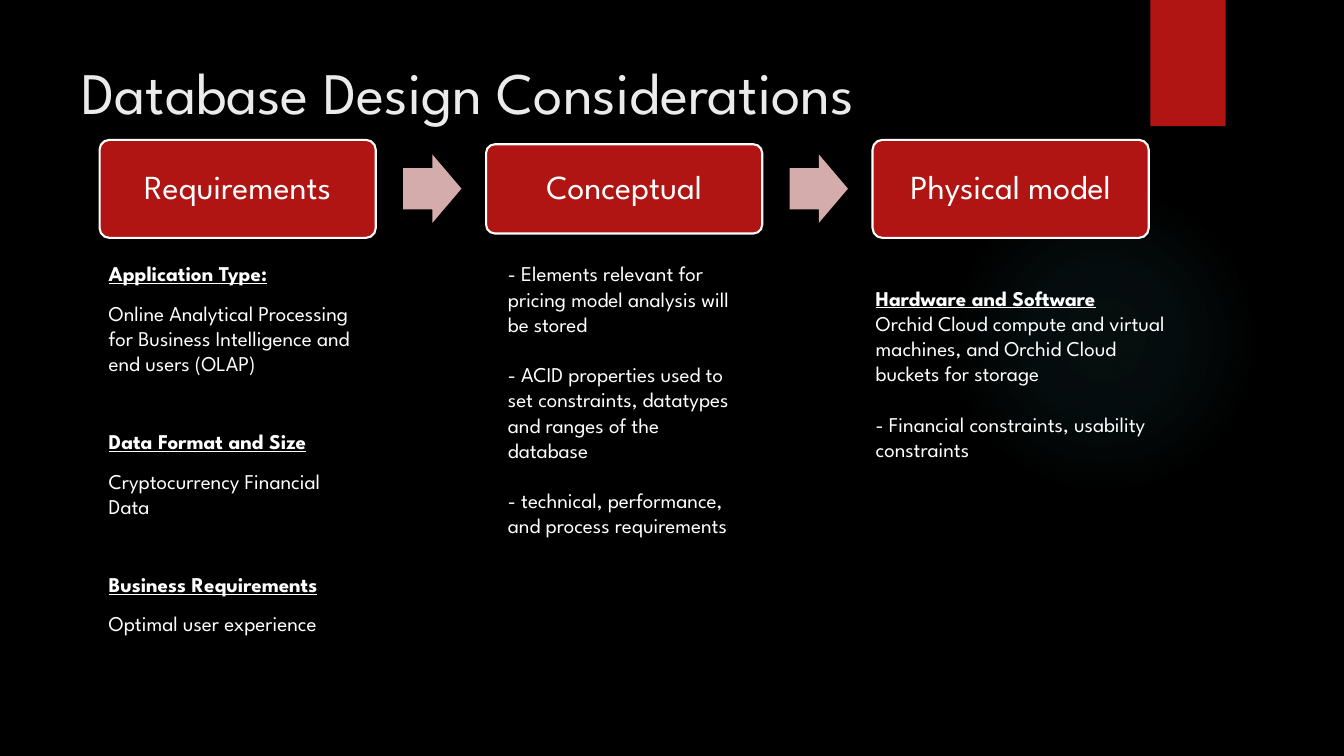
from lxml import etree
from pptx import Presentation
from pptx.dml.color import RGBColor
from pptx.enum import shapes, text
from pptx.oxml import parse_xml
from pptx.oxml.ns import nsdecls, qn
from pptx.util import Cm, Pt

BLACK = RGBColor(0x00, 0x00, 0x00)
WHITE = RGBColor(0xFF, 0xFF, 0xFF)
OFF_WHITE = RGBColor(0xEB, 0xEB, 0xEB)
RED = RGBColor(0xB0, 0x15, 0x13)
PINK = RGBColor(0xD4, 0xAC, 0xAB)
TEAL = RGBColor(0x50, 0xB9, 0xC1)
FONT = "League Spartan"

STAGES = [("Requirements", 2.47), ("Conceptual", 2.25), ("Physical model", 2.47)]
STAGE_LEFT, STAGE_STEP, STAGE_MIDDLE = 2.51, 9.74, 4.76
ARROW_LEFT = 10.16

# Each paragraph: text, is a heading, space before in points
REQUIREMENTS = [
    ("Application Type:", True, 0),
    ("Online Analytical Processing for Business Intelligence and end users (OLAP)", False, 10),
    ("Data Format and Size", True, 38),
    ("Cryptocurrency Financial Data", False, 10),
    ("Business Requirements", True, 38),
    ("Optimal user experience", False, 10),
]
CONCEPTUAL = [
    ("- Elements relevant for pricing model analysis will be stored", False, 0),
    ("- ACID properties used to set constraints, datatypes and ranges of the database", False, 18),
    ("- technical, performance, and process requirements", False, 18),
]
PHYSICAL = [
    ("Hardware and Software", True, 0),
    ("Orchid Cloud compute and virtual machines, and Orchid Cloud buckets for storage", False, 0),
    ("- Financial constraints, usability constraints", False, 18),
]


def style_font(p, size, color):
    p.font.name = FONT
    p.font.size = Pt(size)
    p.font.color.rgb = color


def add_shape(slide, kind, left, top, width, height, color):
    sp = slide.shapes.add_shape(kind, Cm(left), Cm(top), Cm(width), Cm(height))
    sp.shadow.inherit = False
    sp.fill.solid()
    sp.fill.fore_color.rgb = color
    sp.line.fill.background()
    return sp


def add_glow(slide):
    sp = add_shape(slide, shapes.MSO_SHAPE.OVAL, 23.9, 4.65, 7.82, 7.82, TEAL)
    grad = parse_xml(
        f'<a:gradFill {nsdecls("a")}><a:gsLst/><a:path path="circle">'
        '<a:fillToRect l="50000" t="50000" r="50000" b="50000"/></a:path></a:gradFill>')
    for position, opacity in ((0, 7), (36, 6), (69, 0)):
        stop = etree.SubElement(grad[0], qn("a:gs"), pos=str(position * 1000))
        color = etree.SubElement(stop, qn("a:srgbClr"), val=str(TEAL))
        etree.SubElement(color, qn("a:alpha"), val=str(opacity * 1000))
    solid = sp.element.spPr.find(qn("a:solidFill"))
    sp.element.spPr.replace(solid, grad)


def add_title(slide, words):
    sp = slide.shapes.title
    sp.left, sp.top, sp.width, sp.height = Cm(1.8), Cm(1.27), Cm(26.14), Cm(3.89)
    tf = sp.text_frame
    tf.text = words
    tf.auto_size = text.MSO_AUTO_SIZE.NONE
    tf.vertical_anchor = text.MSO_ANCHOR.TOP
    p = tf.paragraphs[0]
    p.alignment = text.PP_ALIGN.LEFT
    style_font(p, 42, OFF_WHITE)


def add_stage(slide, left, height, label):
    sp = add_shape(slide, shapes.MSO_SHAPE.ROUNDED_RECTANGLE,
                   left, STAGE_MIDDLE - height / 2, 6.96, height, RED)
    sp.adjustments[0] = 0.1
    sp.line.color.rgb = WHITE
    sp.line.width = Pt(1.5)
    tf = sp.text_frame
    tf.word_wrap = True
    tf.vertical_anchor = text.MSO_ANCHOR.MIDDLE
    p = tf.paragraphs[0]
    p.text = label
    p.alignment = text.PP_ALIGN.CENTER
    p.line_spacing = 0.9
    style_font(p, 24, WHITE)


def add_arrow(slide, left):
    sp = add_shape(slide, shapes.MSO_SHAPE.RIGHT_ARROW,
                   left, STAGE_MIDDLE - 0.87, 1.47, 1.73, PINK)
    sp.adjustments[0] = 0.6
    sp.adjustments[1] = 0.5


def add_notes_column(slide, left, top, width, height, paragraphs):
    tf = slide.shapes.add_textbox(Cm(left), Cm(top), Cm(width), Cm(height)).text_frame
    tf.word_wrap = True
    for i, (words, heading, gap) in enumerate(paragraphs):
        p = tf.paragraphs[0] if i == 0 else tf.add_paragraph()
        p.text = words
        p.space_before = Pt(gap)
        style_font(p, 15, WHITE)
        p.font.bold = p.font.underline = heading


def main():
    prs = Presentation()
    prs.slide_width, prs.slide_height = Cm(33.87), Cm(19.05)
    slide = prs.slides.add_slide(prs.slide_layouts[5])

    # Backdrop
    slide.background.fill.solid()
    slide.background.fill.fore_color.rgb = BLACK
    add_glow(slide)
    add_shape(slide, shapes.MSO_SHAPE.RECTANGLE, 28.99, 0, 1.9, 3.18, RED)

    add_title(slide, "Database Design Considerations")

    # Stages with an arrow between neighbours
    for i, (label, height) in enumerate(STAGES):
        add_stage(slide, STAGE_LEFT + i * STAGE_STEP, height, label)
        if i < len(STAGES) - 1:
            add_arrow(slide, ARROW_LEFT + i * STAGE_STEP)

    # Details below each stage
    add_notes_column(slide, 2.49, 6.45, 6.86, 13.39 - 1, REQUIREMENTS)
    add_notes_column(slide, 12.55, 6.45, 6.35, 11.79, CONCEPTUAL)
    add_notes_column(slide, 21.82, 7.06, 8.15, 4.75, PHYSICAL)

    prs.save("out.pptx")


if __name__ == "__main__":
    main()
